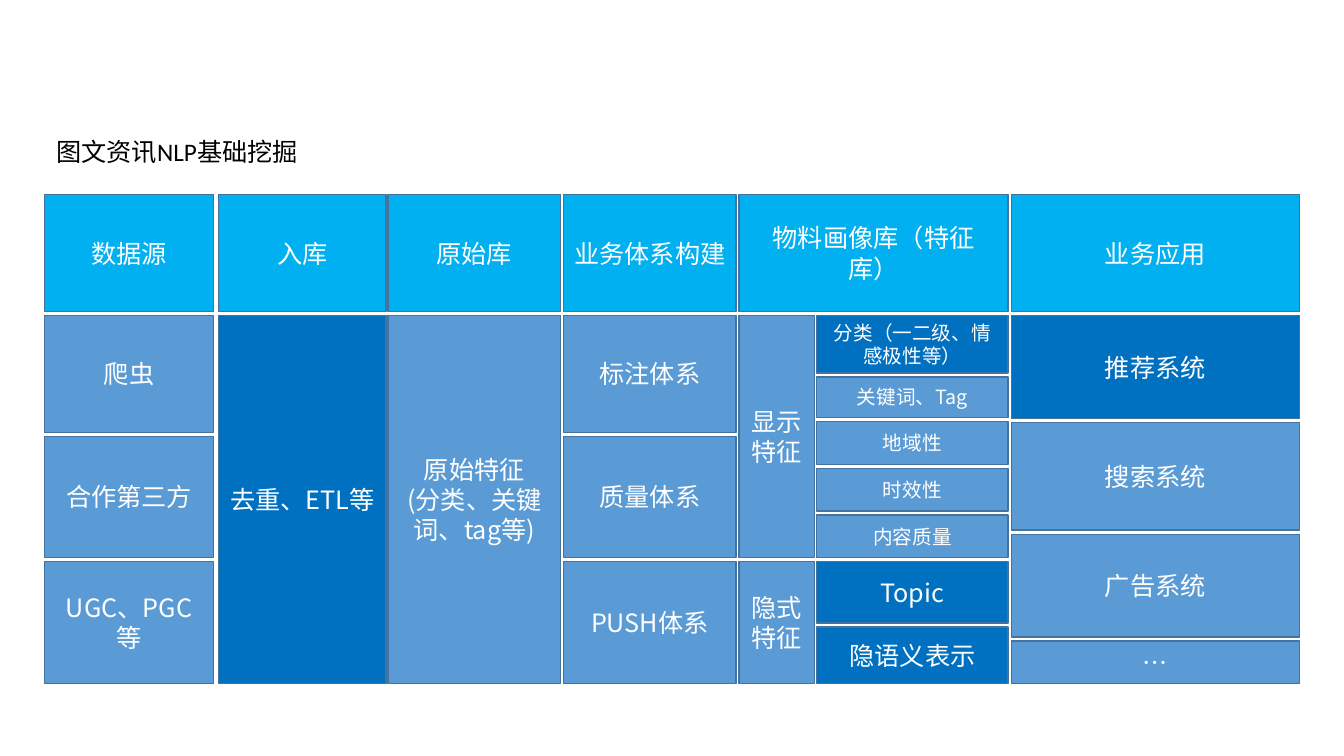
import pptx
import pptx.dml.color
import pptx.enum.shapes
import pptx.enum.text
import pptx.oxml.ns
import pptx.util
import lxml.etree

PX = 9144
GAP = 4
HEADER_HEIGHT = 116
TOP, HEIGHT = 193, 485
CJK_FONT = "Noto Sans CJK SC"
COLORS = {
    "header": "00B0F0",
    "normal": "5B9BD5",
    "focus": "0070C0",
    "border": "43739E",
    "light": "FFFFFF",
    "dark": "000000",
}


def px(*lengths):
    return [pptx.util.Emu(length * PX) for length in lengths]


def rgb(name):
    return pptx.dml.color.RGBColor.from_string(COLORS[name])


def write(frame, text, size, color, latin):
    frame.text = text
    frame.word_wrap = True
    for paragraph in frame.paragraphs:
        for run in paragraph.runs:
            run.font.size = pptx.util.Pt(size)
            run.font.name = latin
            run.font.color.rgb = rgb(color)
            east_asian = lxml.etree.SubElement(
                run.font._element, pptx.oxml.ns.qn("a:ea"))
            east_asian.set("typeface", CJK_FONT)


def add_title(slide, box):
    title = slide.shapes.add_textbox(*px(*box))
    write(title.text_frame, "图文资讯NLP基础挖掘", 18, "dark", "Calibri")


def add_cell(slide, box, text, fill, size=18):
    cell = slide.shapes.add_shape(
        pptx.enum.shapes.MSO_SHAPE.RECTANGLE, *px(*box))
    cell.shadow.inherit = False
    cell.fill.solid()
    cell.fill.fore_color.rgb = rgb(fill)
    cell.line.color.rgb = rgb("border")
    cell.line.width = pptx.util.Pt(1)
    frame = cell.text_frame
    write(frame, text, size, "light", CJK_FONT)
    frame.vertical_anchor = pptx.enum.text.MSO_ANCHOR.MIDDLE
    for paragraph in frame.paragraphs:
        paragraph.alignment = pptx.enum.text.PP_ALIGN.CENTER


def add_stack(slide, left, top, width, cells):
    for text, height, *style in cells:
        add_cell(slide, (left, top, width, height), text, *style)
        top += height + GAP


def add_column(slide, box, header, cells):
    left, top, width, height = box
    add_stack(slide, left, top, width,
              [(header, HEADER_HEIGHT, "header"), *cells])


def add_portrait_column(slide, box, header, kinds, features):
    left, top, width, height = box
    kind_width = 75
    add_column(slide, box, header, [])
    body_top = top + HEADER_HEIGHT + GAP
    add_stack(slide, left, body_top, kind_width, kinds)
    feature_left = kind_width + 2
    add_stack(slide, left + feature_left, body_top,
              width - feature_left, features)


def add_pipeline(slide):
    body = HEIGHT - HEADER_HEIGHT - GAP
    rows = (116, 120, 121)
    columns = [
        (44, 168, "数据源",
         [(text, height, "normal") for text, height
          in zip(("爬虫", "合作第三方", "UGC、PGC等"), rows)]),
        (217, 166, "入库", [("去重、ETL等", body, "focus")]),
        (385, 171, "原始库",
         [("原始特征\n(分类、关键词、tag等)", body, "normal")]),
        (559, 171, "业务体系构建",
         [(text, height, "normal") for text, height
          in zip(("标注体系", "质量体系", "PUSH体系"), rows)]),
        (1003, 286, "业务应用",
         [("推荐系统", 102, "focus"), ("搜索系统", 107, "normal"),
          ("广告系统", 102, "normal"), ("…", 42, "normal")]),
    ]
    for left, width, header, cells in columns:
        add_column(slide, (left, TOP, width, HEIGHT), header, cells)

    kinds = [("显示特征", 240, "normal"), ("隐式特征", 121, "normal")]
    features = [
        ("分类（一二级、情感极性等）", 57, "focus", 14),
        ("关键词、Tag", 40, "normal", 14),
        ("地域性", 43, "normal", 14),
        ("时效性", 42, "normal", 14),
        ("内容质量", 42, "normal", 14),
        ("Topic", 61, "focus"),
        ("隐语义表示", 56, "focus"),
    ]
    add_portrait_column(slide, (733, TOP, 267, HEIGHT),
                        "物料画像库（特征库）", kinds, features)


def main():
    deck = pptx.Presentation()
    deck.slide_width, deck.slide_height = px(1333, 750)
    slide = deck.slides.add_slide(deck.slide_layouts[6])
    add_title(slide, (46, 130, 262, 40))
    add_pipeline(slide)
    deck.save("out.pptx")


if __name__ == "__main__":
    main()
